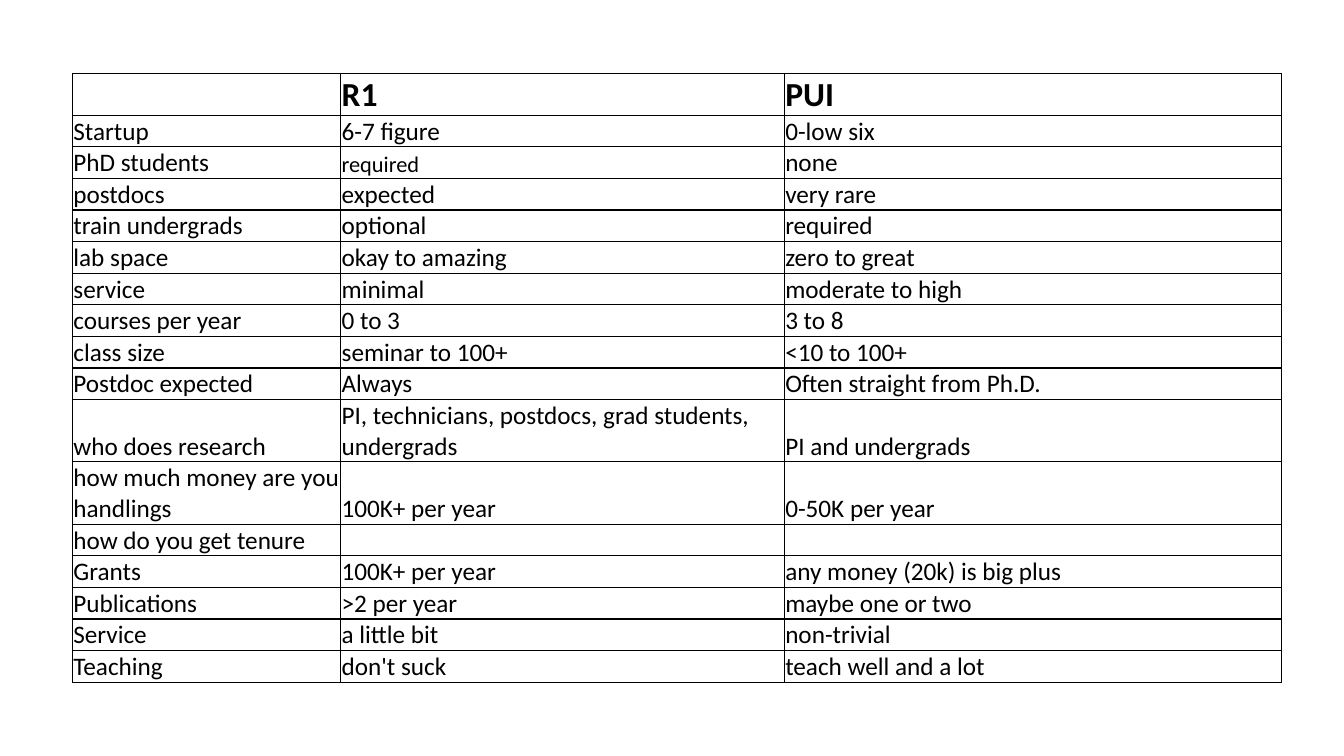
from dataclasses import dataclass

from lxml import etree
from pptx import Presentation
from pptx.dml.color import RGBColor
from pptx.enum.text import MSO_ANCHOR
from pptx.oxml.ns import qn
from pptx.table import _Cell
from pptx.util import Cm, Pt

BOTTOM = MSO_ANCHOR.BOTTOM
COLORS = {"ink": "000000"}
FONT = "Calibri"
BODY_SIZE = 18
HEADER_SIZE = 24
SMALL_SIZE = 16
COLUMN_WIDTHS = (6.76, 11.18, 12.53)
MINIMUM_ROW_HEIGHT = 0.56  # rows grow to fit their text
TABLE_HEIGHT = 15.19
CELL_MARGIN = 0.02


@dataclass(frozen=True)
class Comparison:
    topic: str
    r1: str = ""
    pui: str = ""
    size: int = BODY_SIZE
    r1_size: int = BODY_SIZE
    bold: bool = False


COMPARISONS = (
    Comparison("", "R1", "PUI", size=HEADER_SIZE, r1_size=HEADER_SIZE, bold=True),
    Comparison("Startup", "6-7 figure", "0-low six"),
    Comparison("PhD students", "required", "none", r1_size=SMALL_SIZE),
    Comparison("postdocs", "expected", "very rare"),
    Comparison("train undergrads", "optional", "required"),
    Comparison("lab space", "okay to amazing", "zero to great"),
    Comparison("service", "minimal", "moderate to high"),
    Comparison("courses per year", "0 to 3", "3 to 8"),
    Comparison("class size", "seminar to 100+", "<10 to 100+"),
    Comparison("Postdoc expected", "Always", "Often straight from Ph.D."),
    Comparison("who does research",
               "PI, technicians, postdocs, grad students, undergrads",
               "PI and undergrads"),
    Comparison("how much money are you handlings", "100K+ per year", "0-50K per year"),
    Comparison("how do you get tenure"),
    Comparison("Grants", "100K+ per year", "any money (20k) is big plus"),
    Comparison("Publications", ">2 per year", "maybe one or two"),
    Comparison("Service", "a little bit", "non-trivial"),
    Comparison("Teaching", "don't suck", "teach well and a lot"),
)


def write_text(cell: _Cell, text: str, *, size: int, bold: bool = False,
               color: str = "ink") -> None:
    span = cell.text_frame.paragraphs[0].add_run()
    span.text = text
    span.font.name = FONT
    span.font.size = Pt(size)
    span.font.bold = bold
    span.font.color.rgb = RGBColor.from_string(COLORS[color])


def add_borders(cell: _Cell, color: str = "ink", width: float = 1) -> None:
    properties = cell._tc.get_or_add_tcPr()
    for side in ("lnL", "lnR", "lnT", "lnB"):
        line = etree.SubElement(properties, qn(f"a:{side}"), w=str(Pt(width)))
        fill = etree.SubElement(line, qn("a:solidFill"))
        etree.SubElement(fill, qn("a:srgbClr"), val=COLORS[color])


def format_cell(cell: _Cell) -> None:
    cell.vertical_anchor = BOTTOM
    cell.margin_left = cell.margin_right = cell.margin_top = Cm(CELL_MARGIN)
    cell.margin_bottom = Cm(0)
    add_borders(cell)
    cell.fill.background()


def main() -> None:
    deck = Presentation()
    deck.slide_width, deck.slide_height = Cm(33.87), Cm(19.05)
    page = deck.slides.add_slide(deck.slide_layouts[6])

    # Table frame and grid
    frame = page.shapes.add_table(
        len(COMPARISONS), len(COLUMN_WIDTHS), Cm(1.83), Cm(1.85),
        Cm(sum(COLUMN_WIDTHS)), Cm(TABLE_HEIGHT))
    table = frame.table
    table.first_row = table.horz_banding = False
    for column, width in zip(table.columns, COLUMN_WIDTHS):
        column.width = Cm(width)
    for row in table.rows:
        row.height = Cm(MINIMUM_ROW_HEIGHT)
    frame.height = Cm(TABLE_HEIGHT)

    # Cell contents
    for row, comparison in zip(table.rows, COMPARISONS):
        texts = (comparison.topic, comparison.r1, comparison.pui)
        sizes = (comparison.size, comparison.r1_size, comparison.size)
        for cell, text, size in zip(row.cells, texts, sizes):
            format_cell(cell)
            if text:
                write_text(cell, text, size=size, bold=comparison.bold)

    deck.save("out.pptx")


if __name__ == "__main__":
    main()
